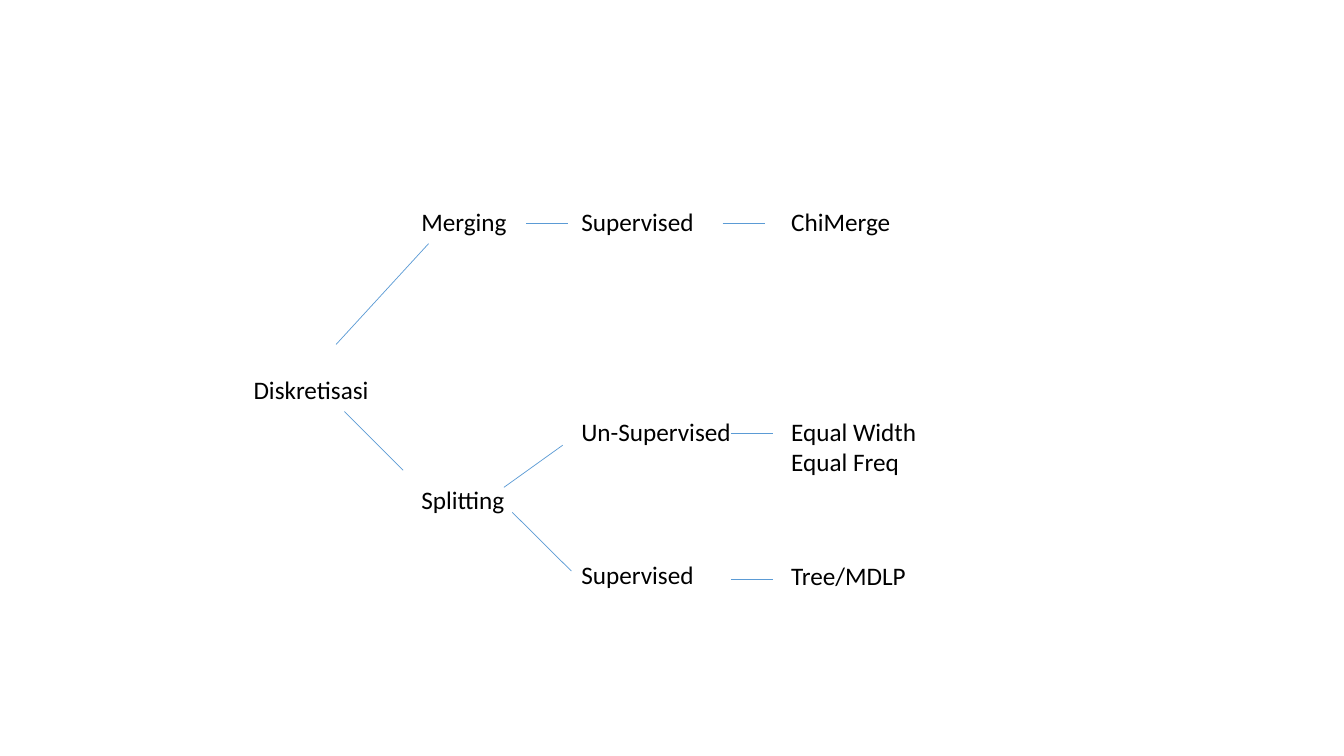
from dataclasses import dataclass

from lxml.etree import SubElement
from pptx import Presentation
from pptx.dml.color import RGBColor as Rgb
from pptx.enum.shapes import MSO_CONNECTOR as Link
from pptx.enum.text import MSO_AUTO_SIZE as Fit
from pptx.oxml.ns import qn
from pptx.util import Cm, Pt


@dataclass(frozen=True)
class Theme:
    font: str = "Calibri"
    size: float = 18
    ink: Rgb = Rgb(0, 0, 0)
    line: Rgb = Rgb(0x5B, 0x9B, 0xD5)
    weight: float = 0.5


THEME = Theme()

# Left edge of each tree level, in cm from the left of the tree
ROOT, METHOD, MODE, RESULT = 0, 4.23, 8.26, 13.55
WIDTH, LINE = 4.45, 0.78  # label width, height of one text line
PAD = 0.25  # label height beyond its lines

# text, left, top, width
NODES = [
    ("Diskretisasi", ROOT, 4.23, WIDTH),
    ("Merging", METHOD, 0, WIDTH),
    ("Splitting", METHOD, 6.99, WIDTH),
    ("Supervised", MODE, 0, WIDTH),
    ("Un-Supervised", MODE, 5.29, WIDTH),
    ("Supervised", MODE, 8.89, WIDTH),
    ("ChiMerge", RESULT, 0, WIDTH),
    ("Equal Width\nEqual Freq", RESULT, 5.29, WIDTH),
    ("Tree/MDLP", RESULT, 8.92, 5.72),
]

# Sloped branches: start x, start y, end x, end y
FORKS = [
    (2.33, 3.6, 4.66, 1.06),
    (2.54, 5.29, 4.02, 6.77),
    (6.56, 7.2, 8.04, 6.14),
    (6.77, 7.83, 8.26, 9.31),
]

# Level links of equal length: start x, y
DASH = 1.06
LINKS = [(7.12, 0.56), (12.07, 0.56), (12.28, 5.84), (12.28, 9.53)]


def label(slide, text, left, top, width):
    lines = text.split("\n")
    height = LINE * len(lines) + PAD
    box = slide.shapes.add_textbox(Cm(left), Cm(top), Cm(width), Cm(height))
    frame = box.text_frame
    frame.word_wrap = True
    frame.text = text
    frame.auto_size = Fit.SHAPE_TO_FIT_TEXT
    for para in frame.paragraphs:
        para.font.name = THEME.font
        para.font.size = Pt(THEME.size)
        para.font.color.rgb = THEME.ink


def branch(slide, x1, y1, x2, y2):
    wire = slide.shapes.add_connector(
        Link.STRAIGHT, Cm(x1), Cm(y1), Cm(x2), Cm(y2))
    wire.line.color.rgb = THEME.line
    wire.line.width = Pt(THEME.weight)
    SubElement(wire._element.spPr, qn("a:effectLst"))


def tree(slide, left, top):
    """Place the labels and branches from the tree's top left corner, in cm."""
    for text, x, y, width in NODES:
        label(slide, text, left + x, top + y, width)
    dashes = [(x, y, x + DASH, y) for x, y in LINKS]
    for x1, y1, x2, y2 in FORKS + dashes:
        branch(slide, left + x1, top + y1, left + x2, top + y2)


def main():
    deck = Presentation()
    deck.slide_width, deck.slide_height = Cm(33.87), Cm(19.05)
    slide = deck.slides.add_slide(deck.slide_layouts[6])
    tree(slide, 6.14, 5.08)
    deck.save("out.pptx")


if __name__ == "__main__":
    main()
